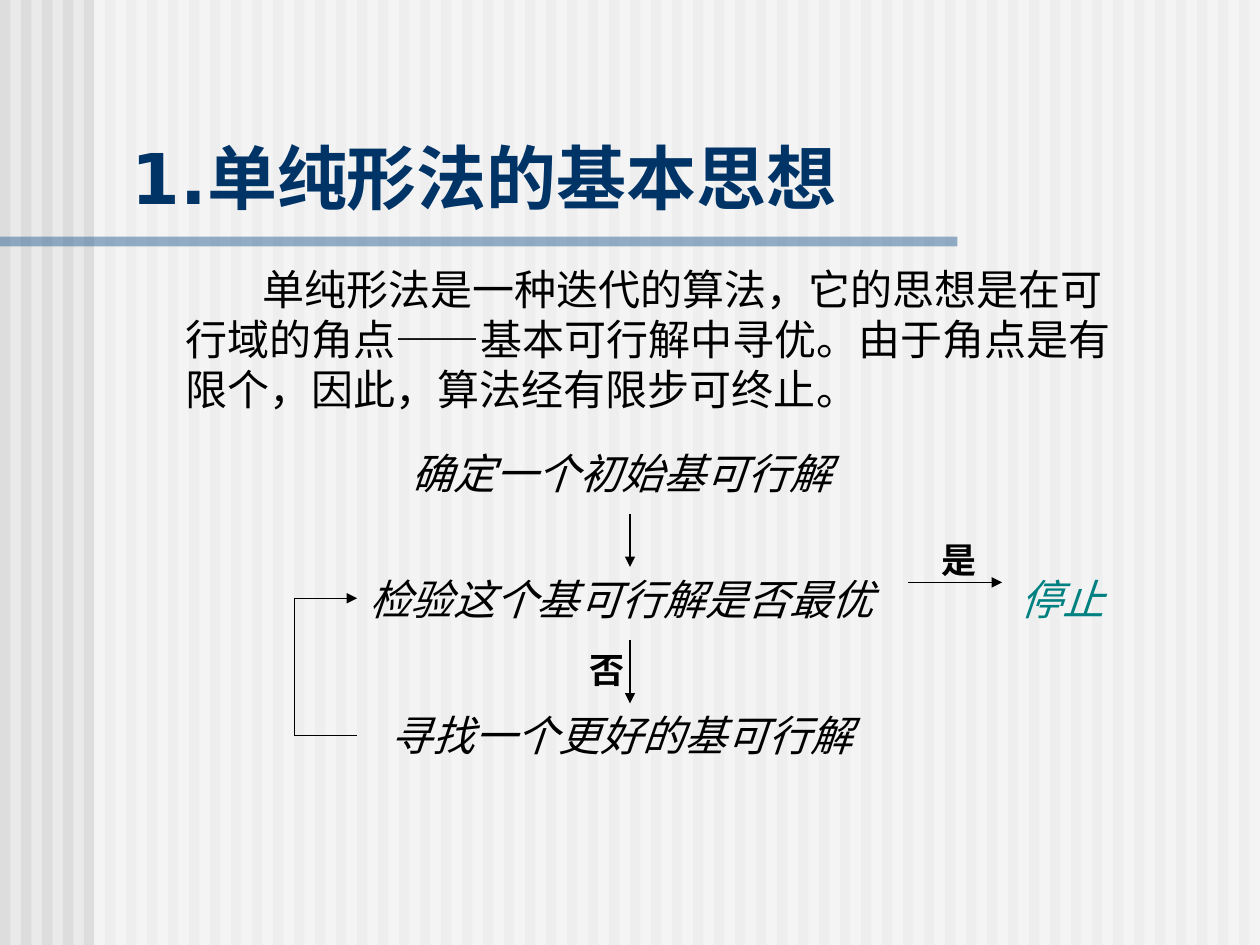
from lxml.etree import SubElement
from pptx import Presentation
from pptx.dml.color import RGBColor
from pptx.enum.lang import MSO_LANGUAGE_ID
from pptx.enum.shapes import MSO_CONNECTOR, MSO_SHAPE
from pptx.enum.text import MSO_ANCHOR
from pptx.oxml.ns import qn
from pptx.util import Cm, Pt

PAGE_WIDTH = 25.4
PAGE_HEIGHT = 19.05
STRIPE_COUNT = 60
BLACK = "000000"


def color(value):
    return RGBColor.from_string(value)


def add_bar(page, left, top, width, height, fill, opacity=100):
    bar = page.shapes.add_shape(
        MSO_SHAPE.RECTANGLE, Cm(left), Cm(top), Cm(width), Cm(height))
    bar.shadow.inherit = False
    bar.line.fill.background()
    bar.fill.solid()
    bar.fill.fore_color.rgb = color(fill)
    if opacity < 100:
        shade = bar.fill._xPr.find(qn("a:solidFill"))[0]
        SubElement(shade, qn("a:alpha"), val=str(opacity * 1000))


def add_text(page, text, left, top, width, height, size=24, font="Times New Roman",
             fill=BLACK, bold=False, italic=False, indent=0, anchor=MSO_ANCHOR.TOP):
    box = page.shapes.add_textbox(Cm(left), Cm(top), Cm(width), Cm(height))
    frame = box.text_frame
    frame.word_wrap = True
    frame.vertical_anchor = anchor
    para = frame.paragraphs[0]
    if indent:
        para._p.get_or_add_pPr().set("indent", str(Cm(indent)))
    span = para.add_run()
    span.text = text
    span.font.name = font
    span.font.size = Pt(size)
    span.font.bold = bold
    span.font.italic = italic
    span.font.color.rgb = color(fill)
    span.font.language_id = MSO_LANGUAGE_ID.SIMPLIFIED_CHINESE


def add_line(page, start, end, arrow=False):
    line = page.shapes.add_connector(
        MSO_CONNECTOR.STRAIGHT, *(Cm(value) for value in start + end))
    line.line.width = Pt(0.74)
    line.line.color.rgb = color(BLACK)
    if arrow:
        SubElement(line.line._get_or_add_ln(), qn("a:tailEnd"), type="triangle")
    SubElement(line._element.spPr, qn("a:effectLst"))


def add_backdrop(page):
    page.background.fill.solid()
    page.background.fill.fore_color.rgb = color("EAEAEA")
    pitch = PAGE_WIDTH / STRIPE_COUNT
    for index in range(STRIPE_COUNT):
        add_bar(page, index * pitch, 0, pitch / 2, PAGE_HEIGHT, "DDDDDD")
    add_bar(page, 1.9, 0, PAGE_WIDTH - 1.9, PAGE_HEIGHT, "FFFFFF", opacity=50)
    add_bar(page, 0, 4.77, 19.3, 0.2, "336699", opacity=50)


def add_flow(page):
    steps = [
        ("确定一个初始基可行解", 8.05, 8.89, 10.6),
        ("检验这个基可行解是否最优", 7.19, 11.43, 11.86),
        ("寻找一个更好的基可行解", 7.62, 14.18, 11.22),
    ]
    for text, left, top, width in steps:
        add_text(page, text, left, top, width, 1.27, italic=True)
    add_text(page, "停止", 20.32, 11.43, 2.33, 1.27, fill="008080", italic=True)
    for text, left, top in [("否", 11.64, 12.95), ("是", 18.73, 10.73)]:
        add_text(page, text, left, top, 1.07, 1.11, size=20, bold=True)

    add_line(page, (12.7, 10.37), (12.7, 11.43), arrow=True)
    add_line(page, (12.7, 12.91), (12.7, 14.18), arrow=True)
    add_line(page, (18.3, 11.74), (20.2, 11.74), arrow=True)

    loop_left, loop_right, loop_top, loop_bottom = 5.93, 7.2, 12.06, 14.82
    add_line(page, (loop_left, loop_top), (loop_right, loop_top), arrow=True)
    add_line(page, (loop_left, loop_top), (loop_left, loop_bottom))
    add_line(page, (loop_left, loop_bottom), (loop_right, loop_bottom))


def main():
    deck = Presentation()
    deck.slide_width = Cm(PAGE_WIDTH)
    deck.slide_height = Cm(PAGE_HEIGHT)
    page = deck.slides.add_slide(deck.slide_layouts[6])
    add_backdrop(page)
    add_text(page, "1.单纯形法的基本思想", 2.41, 2.57, 22.68, 1.96, size=40,
             font="DejaVu Sans", fill="003366", bold=True, anchor=MSO_ANCHOR.BOTTOM)
    add_text(page, "单纯形法是一种迭代的算法，它的思想是在可行域的角点——基本可行解中寻优。"
             "由于角点是有限个，因此，算法经有限步可终止。",
             3.5, 5.18, 19.25, 3.48, indent=1.55)
    add_flow(page)
    deck.save("out.pptx")


main()
